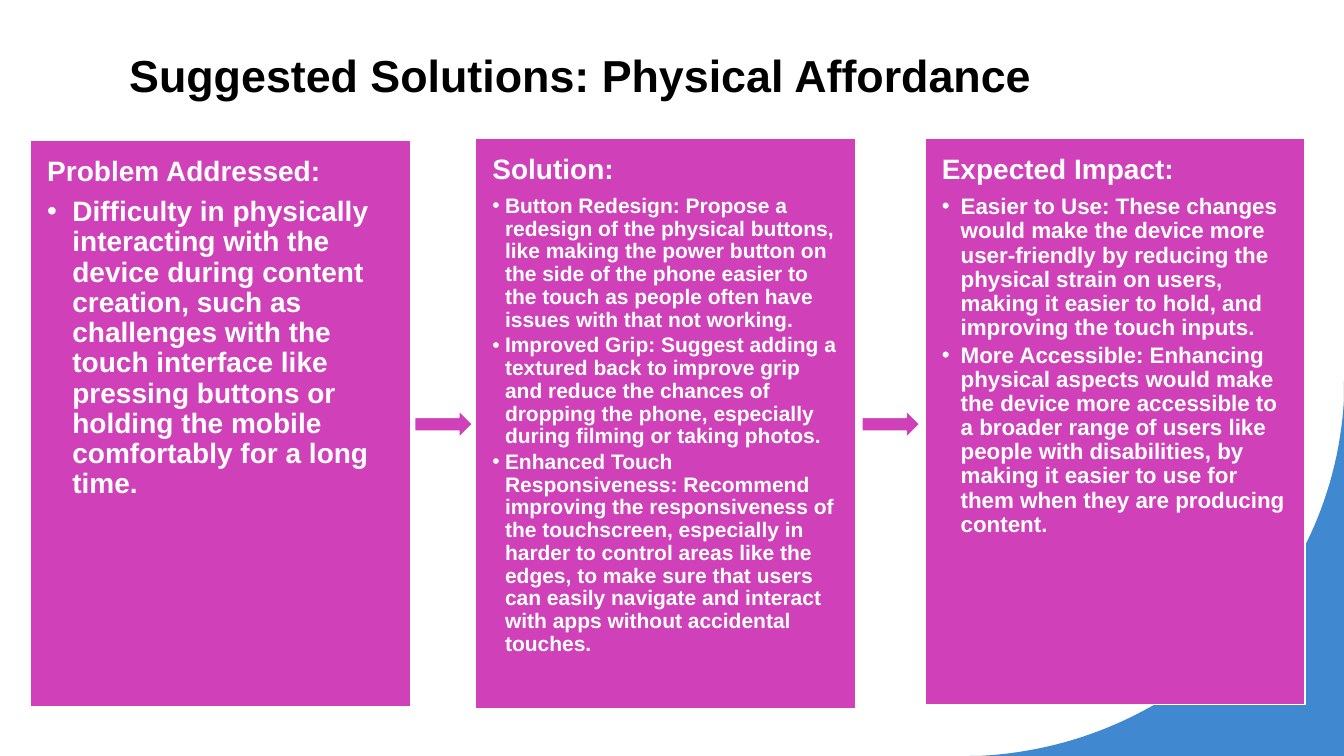
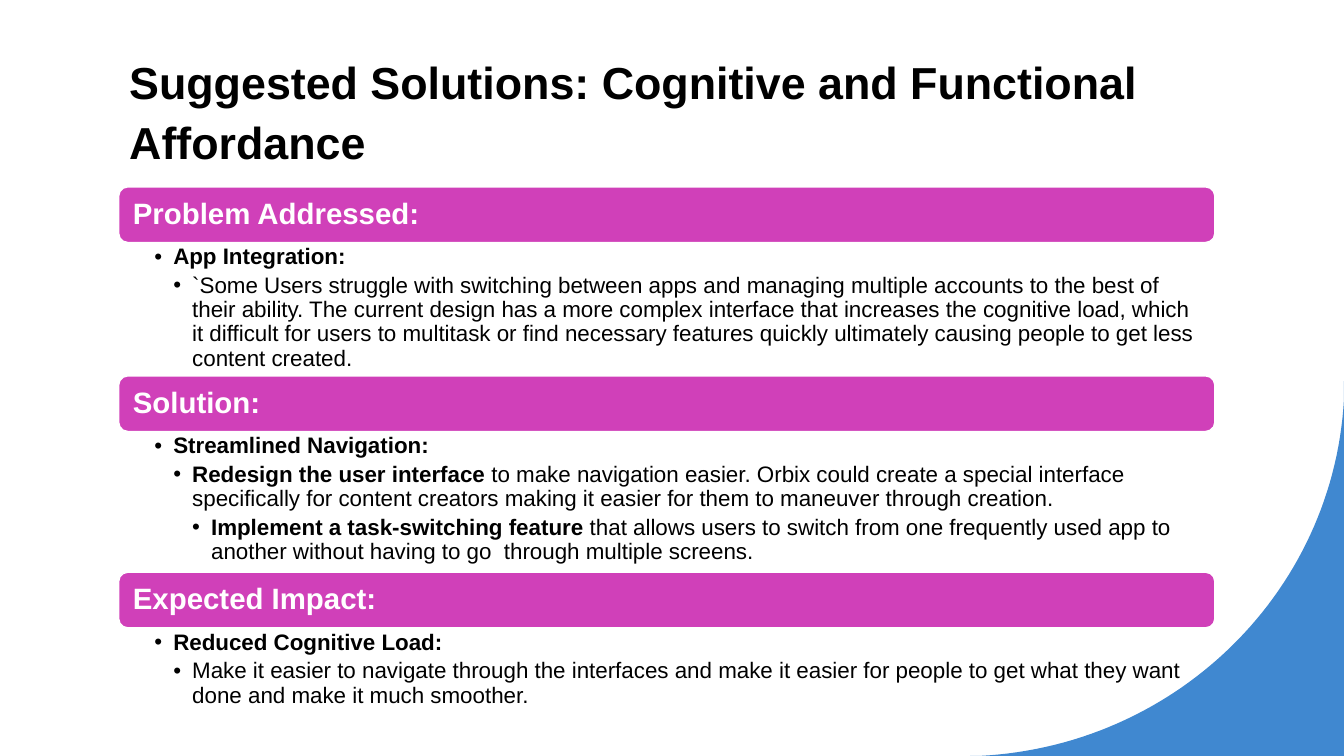
from dataclasses import dataclass

import pptx
import pptx.dml.color
import pptx.enum.shapes
import pptx.enum.text
import pptx.oxml.ns
import pptx.shapes.autoshape
import pptx.slide
import pptx.text.text
import pptx.util
from lxml import etree

EMU_PER_PX = 9525
SLIDE_WIDTH, SLIDE_HEIGHT = 1280, 720
ShapeKind = pptx.enum.shapes.MSO_SHAPE
Anchor = pptx.enum.text.MSO_ANCHOR


@dataclass(frozen=True)
class Theme:
    font: str = "Arial"
    magenta: str = "D040B9"
    blue: str = "4088D0"
    white: str = "FFFFFF"
    black: str = "000000"
    title_size: int = 32
    column_heading_size: int = 20
    bar_size: int = 21
    body_size: int = 16
    title_spacing: float = 1.1
    text_spacing: float = 0.9
    heading_gap: float = 0.35
    column_gap: float = 0.15
    body_gap: float = 0.2


THEME = Theme()


@dataclass(frozen=True)
class Box:
    left: int
    top: int
    width: int
    height: int

    @property
    def right(self) -> int:
        return self.left + self.width

    def emu(self) -> list[pptx.util.Emu]:
        return [px(n) for n in (self.left, self.top, self.width, self.height)]


@dataclass(frozen=True)
class Span:
    text: str
    bold: bool = True


@dataclass(frozen=True)
class Line:
    """One paragraph; gap is the space after it as a share of the type size."""
    spans: tuple[Span, ...]
    size: int
    color: str
    spacing: float = THEME.text_spacing
    gap: float = 0
    level: int = 0
    margin: int = 0
    hanging: int = 0


@dataclass(frozen=True)
class Column:
    box: Box
    heading: str
    points: tuple[str, ...]
    size: int
    hanging: int


@dataclass(frozen=True)
class Section:
    heading: str
    points: tuple[tuple[Span, ...], ...]
    body_height: int


COLUMNS = (
    Column(Box(29, 134, 362, 539), "Problem Addressed:", (
        "Difficulty in physically interacting with the device during content creation, "
        "such as challenges with the touch interface like pressing buttons or holding "
        "the mobile comfortably for a long time.",
    ), 20, 24),
    Column(Box(453, 132, 362, 543), "Solution:", (
        "Button Redesign: Propose a redesign of the physical buttons, like making the "
        "power button on the side of the phone easier to the touch as people often have "
        "issues with that not working.",
        "Improved Grip: Suggest adding a textured back to improve grip and reduce the "
        "chances of dropping the phone, especially during filming or taking photos.",
        "Enhanced Touch Responsiveness: Recommend improving the responsiveness of the "
        "touchscreen, especially in harder to control areas like the edges, to make sure "
        "that users can easily navigate and interact with apps without accidental touches.",
    ), 15, 12),
    Column(Box(881, 132, 362, 539), "Expected Impact:", (
        "Easier to Use: These changes would make the device more user-friendly by "
        "reducing the physical strain on users, making it easier to hold, and improving "
        "the touch inputs.",
        "More Accessible: Enhancing physical aspects would make the device more "
        "accessible to a broader range of users like people with disabilities, by making "
        "it easier to use for them when they are producing content.",
    ), 16, 18),
)

SECTIONS = (
    Section("Problem Addressed:", (
        (Span("App Integration:"),),
        (Span("`Some Users struggle with switching between apps and managing multiple "
              "accounts to the best of their ability. The current design has a more "
              "complex interface that increases the cognitive load, which it difficult "
              "for users to multitask or find necessary features quickly ultimately "
              "causing people to get less content created.", False),),
    ), 127),
    Section("Solution:", (
        (Span("Streamlined Navigation:"),),
        (Span("Redesign the user interface"),
         Span(" to make navigation easier. Orbix could create a special interface "
              "specifically for content creators making it easier for them to maneuver "
              "through creation.", False)),
        (Span("Implement a task-switching feature"),
         Span(" that allows users to switch from one frequently used app to another "
              "without having to go  through multiple screens.", False)),
    ), 134),
    Section("Expected Impact:", (
        (Span("Reduced Cognitive Load:"),),
        (Span("Make it easier to navigate through the interfaces and make it easier for "
              "people to get what they want done and make it much smoother.", False),),
    ), 83),
)


def px(length: float) -> pptx.util.Emu:
    return pptx.util.Emu(round(length * EMU_PER_PX))


def rgb(color: str) -> pptx.dml.color.RGBColor:
    return pptx.dml.color.RGBColor.from_string(color)


def add_bullet(paragraph: pptx.text.text._Paragraph, line: Line) -> None:
    properties = paragraph._p.get_or_add_pPr()
    properties.set("marL", str(px(line.margin)))
    properties.set("indent", str(-px(line.hanging)))
    etree.SubElement(properties, pptx.oxml.ns.qn("a:buFont"), typeface=THEME.font)
    etree.SubElement(properties, pptx.oxml.ns.qn("a:buChar"), char="•")


def write(frame: pptx.text.text.TextFrame, lines: list[Line],
          insets: tuple[int, int, int, int], anchor: Anchor = Anchor.TOP) -> None:
    """Fill a frame; insets run left, top, right, bottom."""
    frame.word_wrap = True
    frame.vertical_anchor = anchor
    (frame.margin_left, frame.margin_top,
     frame.margin_right, frame.margin_bottom) = map(px, insets)
    for index, line in enumerate(lines):
        paragraph = frame.add_paragraph() if index else frame.paragraphs[0]
        paragraph.alignment = pptx.enum.text.PP_ALIGN.LEFT
        paragraph.level = line.level
        paragraph.line_spacing = line.spacing
        paragraph.space_after = pptx.util.Pt(line.size * line.gap)
        if line.hanging:
            add_bullet(paragraph, line)
        for span in line.spans:
            run = paragraph.add_run()
            run.text = span.text
            run.font.name = THEME.font
            run.font.size = pptx.util.Pt(line.size)
            run.font.bold = span.bold
            run.font.color.rgb = rgb(line.color)


def add_panel(slide: pptx.slide.Slide, kind: ShapeKind,
              box: Box) -> pptx.shapes.autoshape.Shape:
    panel = slide.shapes.add_shape(kind, *box.emu())
    panel.shadow.inherit = False
    panel.fill.solid()
    panel.fill.fore_color.rgb = rgb(THEME.magenta)
    panel.line.color.rgb = rgb(THEME.white)
    panel.line.width = pptx.util.Pt(1)
    return panel


def add_corner(slide: pptx.slide.Slide) -> None:
    """Draw the blue corner, its edge a cubic curve sampled in short steps."""
    curve = ((932, 720), (1120, 711), (1270, 564), (1280, 380))
    steps = 60
    edge = []
    for step in range(steps + 1):
        t = step / steps
        weights = ((1 - t) ** 3, 3 * t * (1 - t) ** 2, 3 * t * t * (1 - t), t ** 3)
        edge.append(tuple(px(sum(w * point[axis] for w, point in zip(weights, curve)))
                          for axis in (0, 1)))
    builder = slide.shapes.build_freeform(px(SLIDE_WIDTH), px(363))
    builder.add_line_segments(
        [(px(SLIDE_WIDTH), px(SLIDE_HEIGHT)), (px(924), px(SLIDE_HEIGHT)), *edge])
    corner = builder.convert_to_shape()
    corner.shadow.inherit = False
    corner.fill.solid()
    corner.fill.fore_color.rgb = rgb(THEME.blue)
    corner.line.fill.background()


def add_titled_slide(deck: pptx.presentation.Presentation, title: str,
                     box: Box) -> pptx.slide.Slide:
    slide = deck.slides.add_slide(deck.slide_layouts[6])
    slide.background.fill.solid()
    slide.background.fill.fore_color.rgb = rgb(THEME.white)
    add_corner(slide)
    heading = slide.shapes.add_textbox(*box.emu())
    write(heading.text_frame,
          [Line((Span(title),), THEME.title_size, THEME.black, THEME.title_spacing)],
          (10, 5, 10, 5), Anchor.BOTTOM)
    return slide


def add_column(slide: pptx.slide.Slide, column: Column) -> None:
    panel = add_panel(slide, ShapeKind.RECTANGLE, column.box)
    heading = Line((Span(column.heading),), THEME.column_heading_size, THEME.white,
                   gap=THEME.heading_gap)
    points = [Line((Span(point),), column.size, THEME.white, gap=THEME.column_gap,
                   level=1, margin=column.hanging, hanging=column.hanging)
              for point in column.points]
    write(panel.text_frame, [heading, *points], (16, 16, 16, 16))


def add_flow_arrow(slide: pptx.slide.Slide, before: Box, after: Box) -> None:
    width, height = 55, 26
    left = (before.right + after.left - width) // 2 + 1
    add_panel(slide, ShapeKind.RIGHT_ARROW, Box(left, 391, width, height))


def add_section(slide: pptx.slide.Slide, section: Section, top: int) -> int:
    """Draw a bar with its points below and return where the next one starts."""
    left, width, bar_height, indent = 113, 1044, 53, 18
    bar = add_panel(slide, ShapeKind.ROUNDED_RECTANGLE, Box(left, top, width, bar_height))
    write(bar.text_frame,
          [Line((Span(section.heading),), THEME.bar_size, THEME.white)],
          (11, 9, 11, 9), Anchor.MIDDLE)
    body_top = top + bar_height
    body = slide.shapes.add_textbox(*Box(left, body_top, width, section.body_height).emu())
    write(body.text_frame,
          [Line(spans, THEME.body_size, THEME.black, gap=THEME.body_gap,
                level=level, margin=level * indent, hanging=indent)
           for level, spans in enumerate(section.points, start=1)],
          (34, 3, 15, 3))
    return body_top + section.body_height


def main() -> None:
    deck = pptx.Presentation()
    deck.slide_width, deck.slide_height = px(SLIDE_WIDTH), px(SLIDE_HEIGHT)

    physical = add_titled_slide(
        deck, "Suggested Solutions: Physical Affordance", Box(113, 12, 1044, 90))
    for column in COLUMNS:
        add_column(physical, column)
    for before, after in zip(COLUMNS, COLUMNS[1:]):
        add_flow_arrow(physical, before.box, after.box)

    cognitive = add_titled_slide(
        deck, "Suggested Solutions: Cognitive and Functional Affordance",
        Box(113, 28, 1044, 137))
    top = 178
    for section in SECTIONS:
        top = add_section(cognitive, section, top)

    deck.save("out.pptx")


if __name__ == "__main__":
    main()
